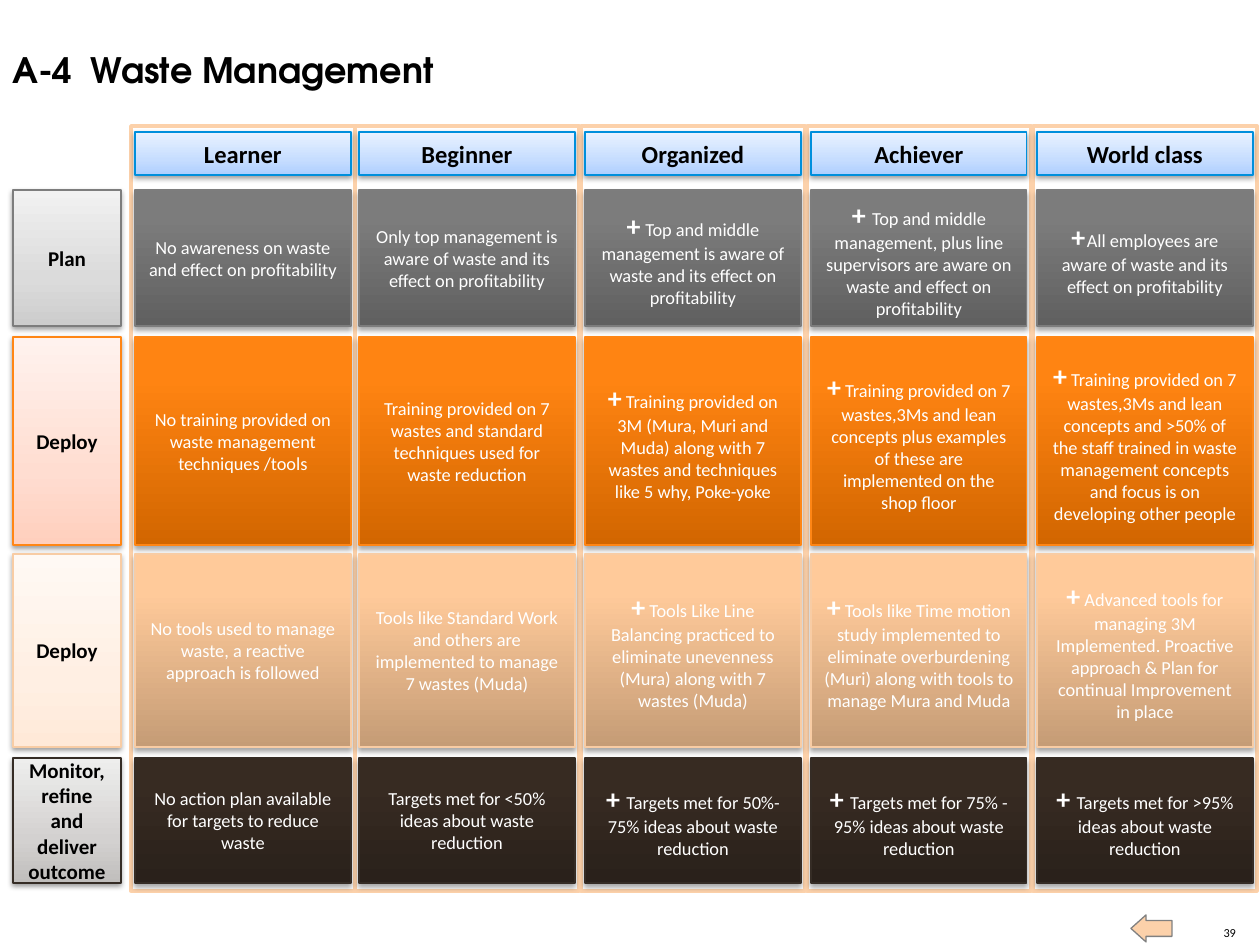
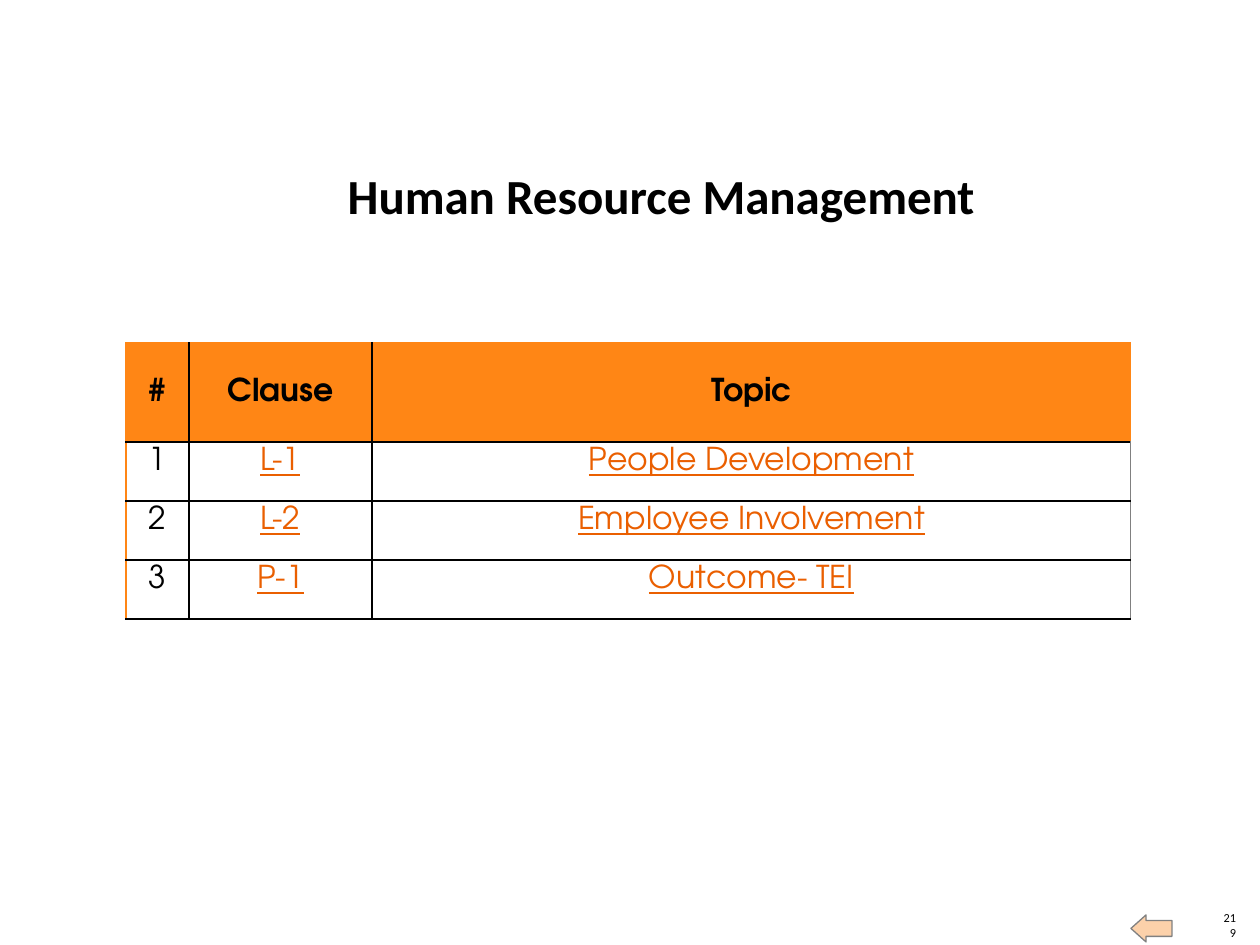
from lxml import etree
from pptx import Presentation
from pptx.dml.color import RGBColor
from pptx.enum.shapes import MSO_SHAPE
from pptx.enum.text import MSO_ANCHOR, MSO_AUTO_SIZE, PP_ALIGN
from pptx.oxml.ns import qn
from pptx.util import Emu, Pt

RECT, LEFT_ARROW = MSO_SHAPE.RECTANGLE, MSO_SHAPE.LEFT_ARROW
TOP, MIDDLE, BOTTOM = MSO_ANCHOR.TOP, MSO_ANCHOR.MIDDLE, MSO_ANCHOR.BOTTOM
LEFT, CENTER, RIGHT = PP_ALIGN.LEFT, PP_ALIGN.CENTER, PP_ALIGN.RIGHT
FIXED = MSO_AUTO_SIZE.NONE

BLACK = RGBColor(0x00, 0x00, 0x00)
WHITE = RGBColor(0xFF, 0xFF, 0xFF)
GRAY = RGBColor(0x80, 0x80, 0x80)
PEACH = RGBColor(0xFC, 0xD1, 0xAA)
ORANGE = RGBColor(0xFF, 0x86, 0x15)
LINK = RGBColor(0xEA, 0x5F, 0x00)
BLUE = RGBColor(0x00, 0x8F, 0xDC)
CHARCOAL = RGBColor(0x7D, 0x7D, 0x7D)
SAND = RGBColor(0xF8, 0xCC, 0xA4)
BROWN = RGBColor(0x35, 0x2C, 0x25)

BODY_FONT, HEAD_FONT = "Calibri", "TeX Gyre Adventor"
PX = 914400 // 126

# Gradients run from the bottom up; shadows are (opacity %, distance pt).
SOFT_STOPS, DEEP_STOPS = (0, 35, 100), (0, 80, 100)
SOFT_SHADOW, DEEP_SHADOW = (38, 1.6), (35, 1.8)
LEVEL_COLORS = ("AECFFF", "C6DDFF", "E9F2FF")

LEVELS = ["Learner", "Beginner", "Organized", "Achiever", "World class"]
LEVEL_X = [135, 359, 585, 811, 1037]
CELL_W, FRAME_GAP = 216, 4
FRAME_Y, FRAME_H = 126, 765
HEADER_Y, HEADER_H = 132, 43
LABEL_X, LABEL_W = 13, 108

# A cell is plain text, or (size of the space after a leading plus, text).
STAGES = [
    dict(name="Plan", y=190, h=136, line=CHARCOAL,
         soft=("CDCDCD", "DBDBDB", "F1F1F1"), deep=("606060", "7C7C7C", "7D7D7D"),
         cells=["No awareness on waste and effect on profitability",
                "Only top management is aware of waste and its effect on profitability",
                (12, "Top and middle management is aware of waste and its effect on "
                     "profitability"),
                (16, "Top and middle management, plus line supervisors are aware on "
                     "waste and effect on profitability"),
                (4, "All employees are aware of waste and its effect on profitability")]),
    dict(name="Deploy", y=337, h=208, line=ORANGE,
         soft=("FFCFBD", "FFDDD1", "FFF2EE"), deep=("D26600", "FF8412", "FF8514"),
         cells=["No training provided on waste management techniques /tools",
                "Training provided on 7 wastes and standard techniques used for waste "
                "reduction",
                (10.5, "Training provided on 3M (Mura, Muri and Muda) along with 7 wastes "
                       "and techniques like 5 why, Poke-yoke"),
                (10.5, "Training provided on 7 wastes,3Ms and lean concepts plus examples "
                       "of these are implemented on the shop floor"),
                (10.5, "Training provided on 7 wastes,3Ms and lean concepts and >50% of "
                       "the staff trained in waste management concepts and focus is on "
                       "developing other people")]),
    dict(name="Deploy", y=554, h=193, line=SAND,
         soft=("FFE9D8", "FFEFE3", "FFF9F4"), deep=("C59C76", "FFCA9A", "FFCB9C"),
         cells=["No tools used to manage waste, a reactive approach is followed",
                "Tools like Standard Work and others are implemented to manage 7 wastes "
                "(Muda)",
                (10.5, "Tools Like Line Balancing practiced to eliminate unevenness "
                       "(Mura) along with 7 wastes (Muda)"),
                (10.5, "Tools like Time motion study implemented to eliminate "
                       "overburdening (Muri) along with tools to manage Mura and Muda"),
                (10.5, "Advanced tools for managing 3M Implemented. Proactive approach & "
                       "Plan for continual Improvement in place")]),
    dict(name="Monitor, refine and deliver outcome", y=758, h=125, line=BROWN,
         soft=("C0BEBC", "D3D1D0", "EEEEED"), deep=("2A211B", "372B22", "372B22"),
         cells=["No action plan available for targets to reduce waste",
                "Targets met for <50% ideas about waste reduction",
                (16, "Targets met for 50%-75% ideas about waste reduction"),
                (16, "Targets met for 75% - 95% ideas about waste reduction"),
                (16, "Targets met for >95% ideas about waste reduction")]),
]

TOPICS = [("#", "Clause", "Topic"),
          ("1", "L-1", "People Development"),
          ("2", "L-2", "Employee Involvement"),
          ("3", "P-1", "Outcome- TEI")]
TOPIC_COLS = [63, 183, 759]
TOPIC_ROWS = [99, 59, 59, 59]
TOPIC_X, TOPIC_Y = 126, 343


def px(*lengths):
    return [Emu(n * PX) for n in lengths]


def set_font(font, size, color, bold=False, name=BODY_FONT):
    font.name, font.size, font.bold = name, Pt(size), bold
    font.color.rgb = color


def set_margins(box, x, y):
    box.margin_left = box.margin_right = Emu(x * PX)
    box.margin_top = box.margin_bottom = Emu(y * PX)


def add_box(slide, kind, x, y, w, h, fill, line, width):
    s = slide.shapes.add_shape(kind, *px(x, y, w, h))
    s.shadow.inherit = False
    s.fill.solid()
    s.fill.fore_color.rgb = fill
    s.line.color.rgb = line
    s.line.width = Pt(width)
    return s


def add_card(slide, x, y, w, h, line, colors, stops, shadow):
    """Add a shaded rectangle with a drop shadow; return its paragraph."""
    s = add_box(slide, RECT, x, y, w, h, WHITE, line, 0.75)
    s.fill.gradient()
    s.fill.gradient_angle = 90
    sp_pr = s._element.spPr
    gs_list = sp_pr.find(".//" + qn("a:gsLst"))
    gs_list.clear()
    for pos, color in zip(stops, colors):
        gs = etree.SubElement(gs_list, qn("a:gs"), pos=str(pos * 1000))
        etree.SubElement(gs, qn("a:srgbClr"), val=color)
    opacity, distance = shadow
    outer = etree.SubElement(sp_pr.find(qn("a:effectLst")), qn("a:outerShdw"),
                             blurRad=str(Pt(3.1)), dist=str(Pt(distance)),
                             dir="5400000", rotWithShape="0")
    black = etree.SubElement(outer, qn("a:srgbClr"), val="000000")
    etree.SubElement(black, qn("a:alpha"), val=str(opacity * 1000))
    tf = s.text_frame
    tf.word_wrap = True
    tf.vertical_anchor = MIDDLE
    p = tf.paragraphs[0]
    p.alignment = CENTER
    return p


def add_heading_card(slide, text, size, *card):
    p = add_card(slide, *card, SOFT_STOPS, SOFT_SHADOW)
    p.text = text
    set_font(p.font, size, BLACK, True)


def fill_cell_text(p, content):
    if isinstance(content, str):
        p.text = content
        set_font(p.font, 10.5, WHITE)
        return
    gap, text = content
    for part, size, bold in (("+", 16, True), (" ", gap, True), (text, 10.5, False)):
        r = p.add_run()
        r.text = part
        set_font(r.font, size, WHITE, bold)


def set_title(slide, text, x, y, w, h, size, font, align, anchor):
    s = slide.shapes.title
    s.left, s.top, s.width, s.height = px(x, y, w, h)
    tf = s.text_frame
    tf.auto_size = FIXED
    tf.word_wrap = True
    tf.vertical_anchor = anchor
    p = tf.paragraphs[0]
    p.text = text
    p.alignment = align
    return s, p, (size, BLACK, True, font)


def add_slide(prs, number):
    """Add a title-only slide with the back arrow and page number."""
    slide = prs.slides.add_slide(prs.slide_layouts[5])
    arrow = add_box(slide, LEFT_ARROW, 1131, 915, 41, 27, PEACH, GRAY, 0.75)
    arrow.adjustments[0], arrow.adjustments[1] = 0.59, 0.56
    tf = slide.shapes.add_textbox(*px(1221, 925, 15, 15)).text_frame
    set_margins(tf, 0, 0)
    tf.word_wrap = True
    tf.vertical_anchor = BOTTOM
    p = tf.paragraphs[0]
    p.text = number
    p.alignment = RIGHT
    set_font(p.font, 7, BLACK)
    return slide


def add_waste_slide(prs):
    slide = add_slide(prs, "39")
    _, p, font = set_title(slide, "A-4\tWaste Management", 0, 42, 1084, 55,
                           20, HEAD_FONT, LEFT, TOP)
    tabs = etree.SubElement(p._p.get_or_add_pPr(), qn("a:tabLst"))
    etree.SubElement(tabs, qn("a:tab"), pos=str(78 * PX), algn="l")
    set_font(p.font, *font)

    for stage in STAGES:
        add_heading_card(slide, stage["name"], 12, LABEL_X, stage["y"], LABEL_W,
                         stage["h"], stage["line"], stage["soft"])
    for x in LEVEL_X:
        add_box(slide, RECT, x - FRAME_GAP, FRAME_Y, CELL_W + 2 * FRAME_GAP, FRAME_H,
                WHITE, PEACH, 2)
    for stage in STAGES:
        for x, content in zip(LEVEL_X, stage["cells"]):
            p = add_card(slide, x, stage["y"], CELL_W, stage["h"], stage["line"],
                         stage["deep"], DEEP_STOPS, DEEP_SHADOW)
            fill_cell_text(p, content)
    for x, level in zip(LEVEL_X, LEVELS):
        add_heading_card(slide, level, 14, x, HEADER_Y, CELL_W, HEADER_H, BLUE,
                         LEVEL_COLORS)


def set_borders(cell, sides):
    """Put borders, given as side: (colour, points), before the cell's fill."""
    tc_pr = cell._tc.get_or_add_tcPr()
    for i, side in enumerate("LRTB"):
        color, width = sides[side]
        ln = etree.Element(qn("a:ln" + side), w=str(Pt(width)))
        fill = etree.SubElement(ln, qn("a:solidFill"))
        etree.SubElement(fill, qn("a:srgbClr"), val=str(color))
        tc_pr.insert(i, ln)


def add_topics_slide(prs):
    slide = add_slide(prs, "219")
    s, p, font = set_title(slide, "Human Resource Management", 273, 165, 776, 59,
                           28, BODY_FONT, CENTER, BOTTOM)
    set_margins(s.text_frame, 0, 0)
    set_font(p.font, *font)

    table = slide.shapes.add_table(
        len(TOPIC_ROWS), len(TOPIC_COLS),
        *px(TOPIC_X, TOPIC_Y, sum(TOPIC_COLS), sum(TOPIC_ROWS))).table
    for column, width in zip(table.columns, px(*TOPIC_COLS)):
        column.width = width
    for row, height in zip(table.rows, px(*TOPIC_ROWS)):
        row.height = height

    inner, edge, right_edge = (BLACK, 1), (ORANGE, 0.75), (GRAY, 0.5)
    last = len(TOPIC_COLS) - 1
    for i, row in enumerate(TOPICS):
        header = i == 0
        for j, text in enumerate(row):
            cell = table.cell(i, j)
            cell.fill.solid()
            cell.fill.fore_color.rgb = ORANGE if header else WHITE
            cell.vertical_anchor = MIDDLE if header else TOP
            set_margins(cell, *((8, 4) if header else (9, 5)))
            outer = edge if header else right_edge
            set_borders(cell, {"L": inner if j else edge,
                               "R": outer if j == last else inner,
                               "T": edge if header else inner, "B": inner})
            p = cell.text_frame.paragraphs[0]
            p.text = text
            p.alignment = CENTER
            linked = not header and j > 0
            set_font(p.font, 18, LINK if linked else BLACK, header, HEAD_FONT)
            p.font.underline = linked


def main():
    prs = Presentation()
    prs.slide_width, prs.slide_height = px(1260, 945)
    add_waste_slide(prs)
    add_topics_slide(prs)
    prs.save("out.pptx")


if __name__ == "__main__":
    main()
